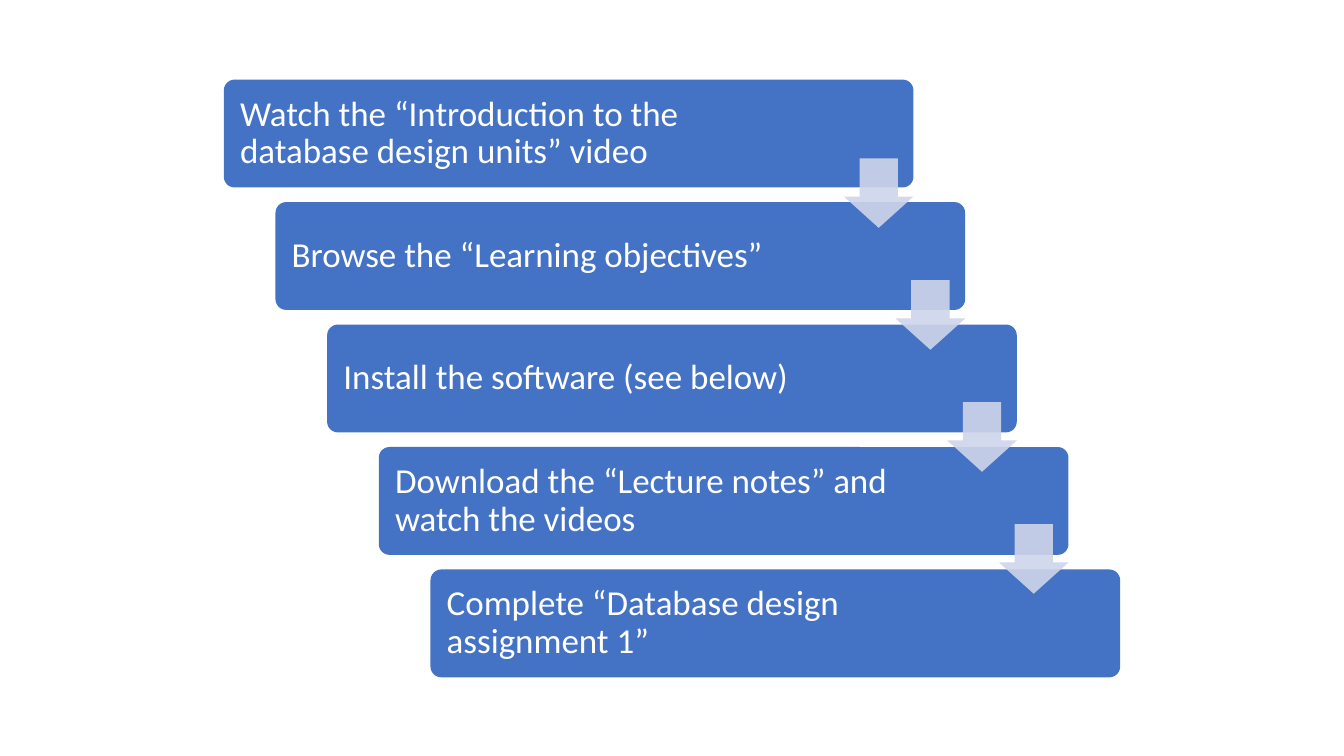
from lxml.etree import SubElement
from pptx import Presentation
from pptx.dml.color import RGBColor
from pptx.enum.shapes import MSO_SHAPE
from pptx.enum.text import MSO_ANCHOR, PP_ALIGN
from pptx.oxml.ns import qn
from pptx.util import Inches, Pt

COLORS = {"step": "4472C4", "arrow": "CFD5EA", "text": "FFFFFF"}
STEPS = [
    "Watch the “Introduction to the database design units” video",
    "Browse the “Learning objectives”",
    "Install the software (see below)",
    "Download the “Lecture notes” and watch the videos",
    "Complete “Database design assignment 1”",
]
STEP_LEFT, STEP_TOP = 2.22, 0.79
STEP_WIDTH, STEP_HEIGHT = 6.84, 1.07
INDENT = 2.05 / 4
DROP = 4.86 / 4
ARROW_LEFT, ARROW_TOP, ARROW_SIZE = 8.37, 1.57, 0.69
ARROW_DROP = 1.21


def write_text(frame, text, *, font, size, color, line_spacing=0.9):
    paragraph = frame.paragraphs[0]
    paragraph.alignment = PP_ALIGN.LEFT
    paragraph.line_spacing = line_spacing
    run = paragraph.add_run()
    run.text = text
    run.font.name = font
    run.font.size = Pt(size)
    run.font.color.rgb = RGBColor.from_string(color)


class Staircase:
    font = "Calibri"
    size = 25

    def __init__(self, slide):
        self.slide = slide

    def block(self, preset, left, top, width, height, color, adjustments):
        block = self.slide.shapes.add_shape(
            preset, Inches(left), Inches(top), Inches(width), Inches(height))
        for index, value in enumerate(adjustments):
            block.adjustments[index] = value
        block.shadow.inherit = False
        block.fill.solid()
        block.fill.fore_color.rgb = RGBColor.from_string(color)
        block.line.fill.background()
        return block

    def step(self, text, left, top):
        step = self.block(MSO_SHAPE.ROUNDED_RECTANGLE, left, top,
                          STEP_WIDTH, STEP_HEIGHT, COLORS["step"], [0.1])
        frame = step.text_frame
        frame.word_wrap = True
        frame.vertical_anchor = MSO_ANCHOR.MIDDLE
        frame.margin_left, frame.margin_right = Inches(0.13), Inches(1.33)
        frame.margin_top = frame.margin_bottom = Inches(0.13)
        write_text(frame, text, font=self.font, size=self.size, color=COLORS["text"])

    def arrow(self, left, top, opacity=90):
        arrow = self.block(MSO_SHAPE.DOWN_ARROW, left, top,
                           ARROW_SIZE, ARROW_SIZE, COLORS["arrow"], [0.55, 0.45])
        fill_color = arrow.fill._xPr.find(qn("a:solidFill"))[0]
        SubElement(fill_color, qn("a:alpha")).set("val", str(opacity * 1000))


def main():
    presentation = Presentation()
    presentation.slide_width = Inches(13.33)
    presentation.slide_height = Inches(7.5)
    staircase = Staircase(presentation.slides.add_slide(presentation.slide_layouts[6]))
    for level, text in enumerate(STEPS):
        staircase.step(text, STEP_LEFT + level * INDENT, STEP_TOP + level * DROP)
    for level in range(len(STEPS) - 1):
        staircase.arrow(ARROW_LEFT + level * INDENT, ARROW_TOP + level * ARROW_DROP)
    presentation.save("out.pptx")


if __name__ == "__main__":
    main()
